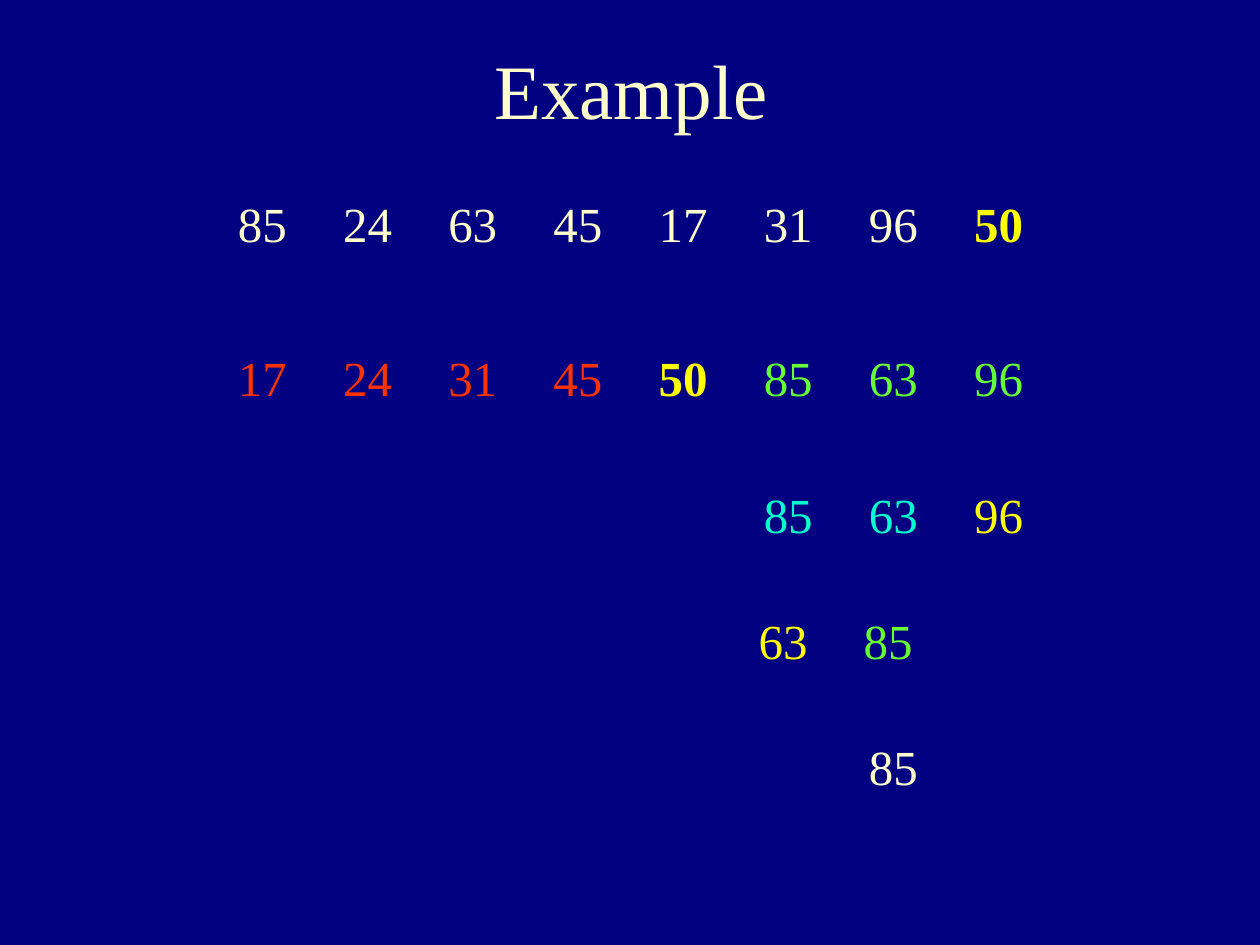
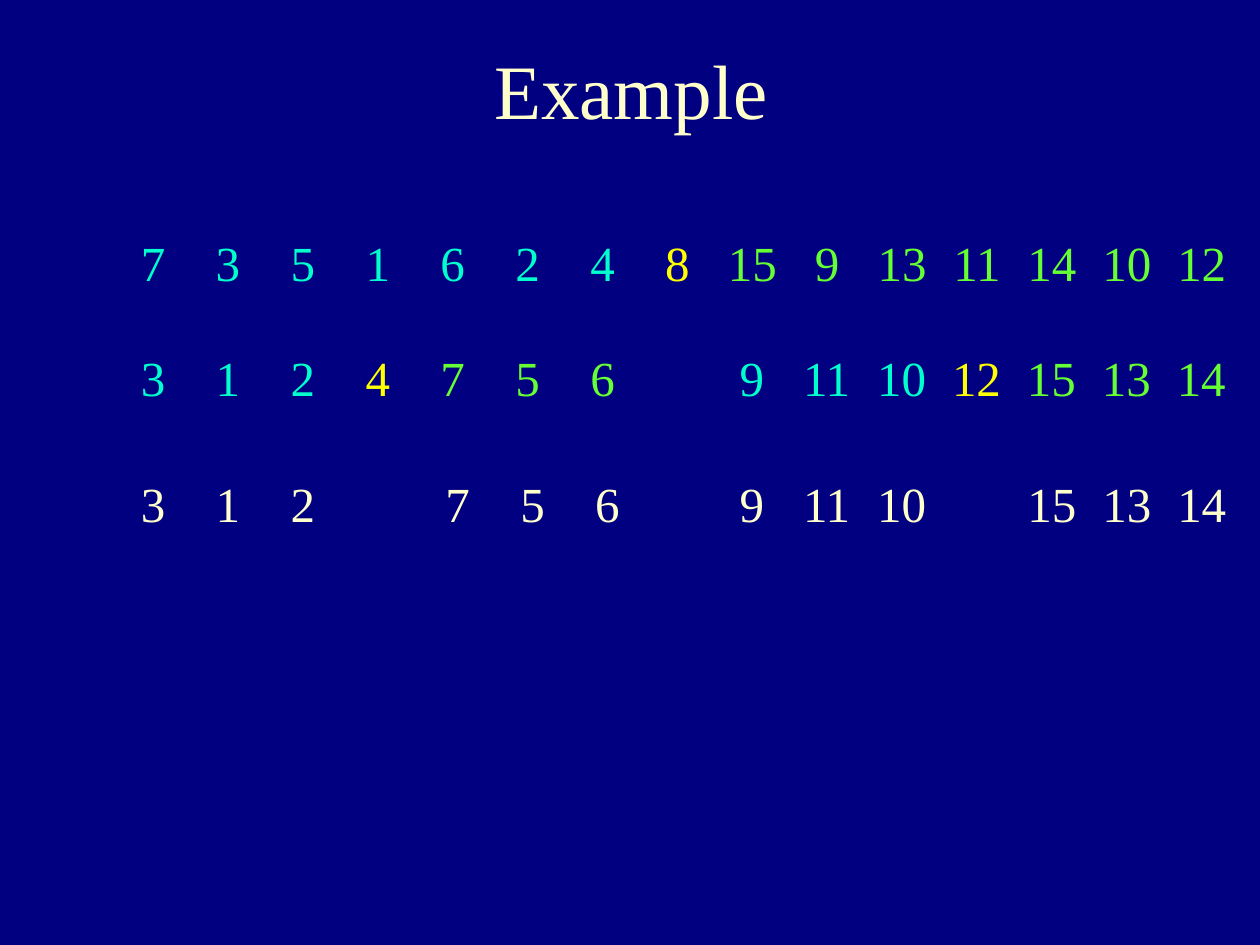
from lxml.etree import SubElement
from pptx import Presentation
from pptx.dml.color import RGBColor
from pptx.enum.text import MSO_ANCHOR, MSO_AUTO_SIZE, PP_ALIGN
from pptx.oxml.ns import qn
from pptx.util import Cm, Pt

NAVY = RGBColor(0x00, 0x00, 0x80)
CREAM = RGBColor(0xFF, 0xFF, 0xCC)
YELLOW = RGBColor(0xFF, 0xFF, 0x00)
RED = RGBColor(0xFF, 0x33, 0x00)
GREEN = RGBColor(0x66, 0xFF, 0x33)
AQUA = RGBColor(0x00, 0xFF, 0xCC)


class Deck:
    """Holds the shared style and the current slide of the sorting examples."""

    font = "Times New Roman"
    title_size = Pt(44)
    number_size = Pt(28)

    def __init__(self):
        self.prs = Presentation()
        self.prs.slide_width, self.prs.slide_height = Cm(25.4), Cm(19.05)
        fill = self.prs.slide_master.background.fill
        fill.solid()
        fill.fore_color.rgb = NAVY

    def style(self, p, size, color, bold=False):
        p.alignment = PP_ALIGN.CENTER
        p.font.name = self.font
        p.font.size = size
        p.font.bold = bold
        p.font.color.rgb = color

    def slide(self, title):
        self.s = self.prs.slides.add_slide(self.prs.slide_layouts[5])
        sp = self.s.shapes.title
        sp.left, sp.top, sp.width, sp.height = Cm(0.38), Cm(0.74), Cm(24.69), Cm(2.11)
        tf = sp.text_frame
        tf.text = title
        tf.vertical_anchor = MSO_ANCHOR.MIDDLE
        tf.auto_size = MSO_AUTO_SIZE.SHAPE_TO_FIT_TEXT
        self.style(tf.paragraphs[0], self.title_size, CREAM)

    def clear_cell(self, cell):
        tcPr = cell._tc.get_or_add_tcPr()
        for side in ("a:lnL", "a:lnR", "a:lnT", "a:lnB"):
            SubElement(SubElement(tcPr, qn(side)), qn("a:noFill"))
        cell.fill.background()

    def number_row(self, left, top, height, widths, *groups):
        """Each group is (numbers, colour) with an optional bold flag."""
        numbers = [(n, *look) for text, *look in groups for n in text.split()]
        if not isinstance(widths, list):
            widths = [widths] * len(numbers)
        table = self.s.shapes.add_table(
            1, len(numbers), Cm(left), Cm(top), Cm(sum(widths)), Cm(height)).table
        table.first_row = table.horz_banding = False
        for column, width in zip(table.columns, widths):
            column.width = Cm(width)
        for cell, (number, *look) in zip(table.rows[0].cells, numbers):
            self.clear_cell(cell)
            cell.text = number
            self.style(cell.text_frame.paragraphs[0], self.number_size, *look)


def quicksort_slide(deck):
    deck.slide("Example")
    left, width, height = 4.23, 2.12, 1.69
    deck.number_row(left, 3.88, 1.63, width,
                    ("85 24 63 45 17 31 96", CREAM), ("50", YELLOW, True))
    deck.number_row(left, 6.99, height, width,
                    ("17 24 31 45", RED), ("50", YELLOW, True), ("85 63 96", GREEN))
    deck.number_row(left + 5 * width, 9.74, height, width,
                    ("85 63", AQUA), ("96", YELLOW))
    deck.number_row(left + 5 * width, 12.28, height, [1.91, 2.33],
                    ("63", YELLOW), ("85", GREEN))
    deck.number_row(left + 6 * width, 14.82, height, width, ("85", CREAM))


def balanced_slide(deck):
    deck.slide("Example")
    width, height = 1.51, 1.48
    deck.number_row(2.33, 4.66, height, width, ("7 3 5 1 6 2 4", AQUA),
                    ("8", YELLOW), ("15 9 13 11 14 10 12", GREEN))
    halves = [(2.33, "3 1 2", "4", "7 5 6"), (14.4, "9 11 10", "12", "15 13 14")]
    for left, smaller, pivot, larger in halves:
        deck.number_row(left, 6.99, height, width,
                        (smaller, AQUA), (pivot, YELLOW), (larger, GREEN))
    quarters = [(2.33, "3 1 2"), (8.47, "7 5 6"), (14.4, "9 11 10"), (20.45, "15 13 14")]
    for left, numbers in quarters:
        deck.number_row(left, 9.53, height, width, (numbers, CREAM))


def main():
    deck = Deck()
    quicksort_slide(deck)
    balanced_slide(deck)
    deck.prs.save("out.pptx")


if __name__ == "__main__":
    main()
